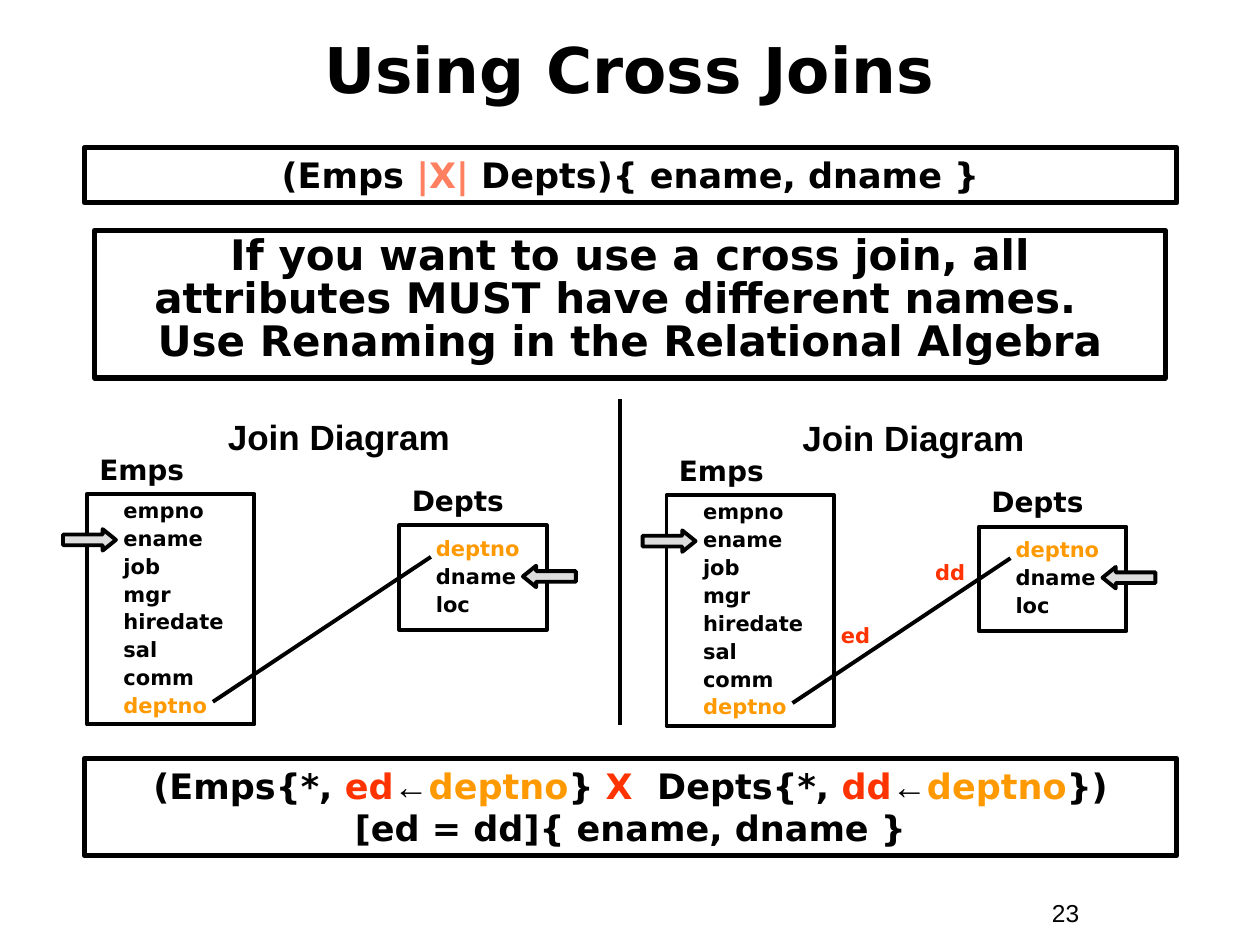
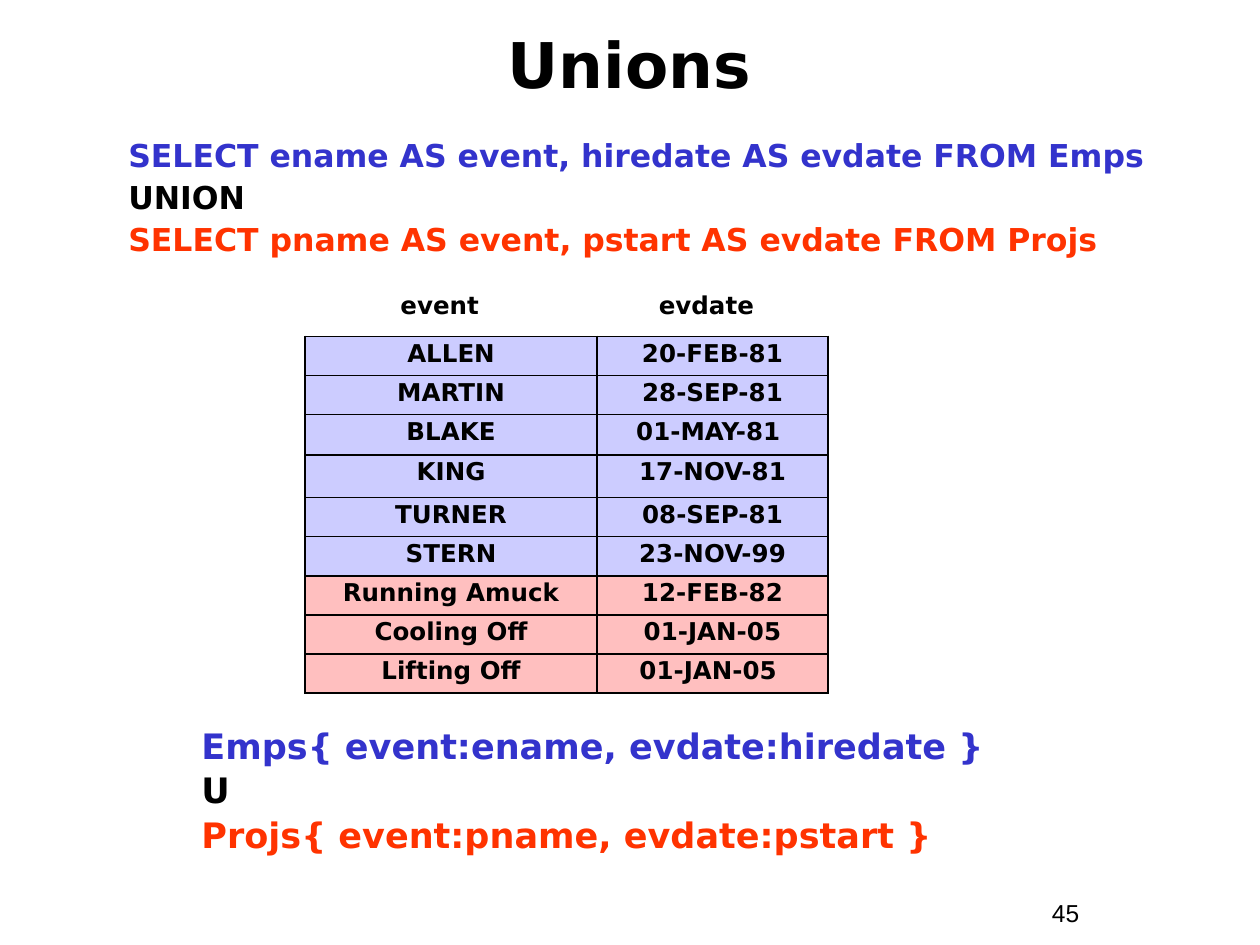
from lxml import etree
from pptx import Presentation
from pptx import util as u
from pptx.dml.color import RGBColor
from pptx.enum import shapes, text
from pptx.oxml import ns

rgb = RGBColor.from_string
BLACK, RED, ORANGE, BLUE = "000000", "FF3300", "FF9900", "3333CC"
SANS, ARIAL = "DejaVu Sans", "Arial"
LEFT, CENTER = text.PP_ALIGN.LEFT, text.PP_ALIGN.CENTER
TOP, MIDDLE = text.MSO_ANCHOR.TOP, text.MSO_ANCHOR.MIDDLE


def write(tf, paras, size, align=LEFT, spacing=1.0, before=0, font=SANS, bold=True, anchor=TOP):
    frame = {"word_wrap": True, "vertical_anchor": anchor,
             "margin_left": u.Inches(0.1), "margin_right": u.Inches(0.1),
             "margin_top": u.Inches(0.05), "margin_bottom": u.Inches(0.05)}
    for key, value in frame.items():
        setattr(tf, key, value)
    for i, runs in enumerate(paras):
        p = tf.add_paragraph() if i else tf.paragraphs[0]
        fmt = {"alignment": align, "line_spacing": spacing,
               "space_before": u.Pt(before if i else 0)}
        for key, value in fmt.items():
            setattr(p, key, value)
        for words, color in runs:
            if words == "\n":
                p.add_line_break()
                continue
            r = p.add_run()
            r.text = words
            fmt = {"name": ARIAL if words == "←" else font, "size": u.Pt(size), "bold": bold}
            for key, value in fmt.items():
                setattr(r.font, key, value)
            r.font.color.rgb = rgb(color)


def draw(s, kind, at, width, fill=None):
    at = [u.Inches(v) for v in at]
    if kind == "line":
        sp = s.shapes.add_connector(shapes.MSO_CONNECTOR.STRAIGHT, *at)
        etree.SubElement(sp._element.spPr, ns.qn("a:effectLst"))
    else:
        sp = s.shapes.add_shape(kind, *at)
        sp.shadow.inherit = False
        if fill:
            sp.fill.solid()
            sp.fill.fore_color.rgb = rgb(fill)
        else:
            sp.fill.background()
    sp.line.color.rgb = rgb(BLACK)
    sp.line.width = u.Pt(width)
    return sp


prs = Presentation()
prs.slide_width, prs.slide_height = u.Inches(10), u.Inches(7.5)
RECT = shapes.MSO_SHAPE.RECTANGLE

slides = []
for title, top, height, number in [("Using Cross Joins", 0.08, 0.92, "23"),
                                   ("Unions", 0.17, 0.67, "45")]:
    s = prs.slides.add_slide(prs.slide_layouts[5])
    sp = s.shapes.title
    place = {"left": 0.33, "top": top, "width": 9.33, "height": height}
    for key, value in place.items():
        setattr(sp, key, u.Inches(value))
    write(sp.text_frame, [[(title, BLACK)]], 36, CENTER, anchor=MIDDLE)
    sp = s.shapes.add_textbox(*map(u.Inches, (8.25, 7.08, 0.92, 0.34)))
    write(sp.text_frame, [[(number, BLACK)]], 14, font=ARIAL, bold=False)
    slides.append(s)
joins, unions = slides

banners = [
    ((0.67, 1.17, 8.67, 0.44), 20, 1.0,
     [("(Emps ", BLACK), ("|X|", "FF7F61"), (" Depts){ ename, dname }", BLACK)]),
    ((0.75, 1.83, 8.5, 1.17), 24, 0.85,
     [("If you want to use a cross join, all attributes MUST have different names.  ", BLACK),
      ("\n", BLACK), ("Use Renaming in the Relational Algebra", BLACK)]),
    ((0.67, 6.02, 8.67, 0.77), 20, 1.0,
     [("(Emps{*, ", BLACK), ("ed", RED), ("←", BLACK), ("deptno", ORANGE), ("} ", BLACK),
      ("X", RED), ("  Depts{*, ", BLACK), ("dd", RED), ("←", BLACK), ("deptno", ORANGE),
      ("})", BLACK), ("\n", BLACK), ("[ed = dd]{ ename, dname }", BLACK)]),
]
for at, size, spacing, runs in banners:
    sp = draw(joins, RECT, at, 3)
    write(sp.text_frame, [runs], size, CENTER, spacing)

draw(joins, "line", (4.92, 3.17, 4.92, 5.75), 2.25)

relations = [
    ("Emps", 0.69, 3.92, 1.33, 1.83,
     ["empno", "ename", "job", "mgr", "hiredate", "sal", "comm", "deptno"]),
    ("Depts", 3.17, 4.17, 1.17, 0.83, ["deptno", "dname", "loc"]),
]
arrows = [(shapes.MSO_SHAPE.RIGHT_ARROW, 0.5, 4.2), (shapes.MSO_SHAPE.LEFT_ARROW, 4.15, 4.49)]
for dx, dy, caption_x in [(0, 0, 1.19), (4.6, 0.01, 5.75)]:
    sp = joins.shapes.add_textbox(*map(u.Inches, (caption_x, 3.25 + dy, 3, 0.44)))
    write(sp.text_frame, [[("Join Diagram", BLACK)]], 20, CENTER, font=ARIAL)
    for name, x, y, w, h, attrs in relations:
        sp = joins.shapes.add_textbox(*map(u.Inches, (x + dx, y + dy - 0.35, 1.36, 0.34)))
        write(sp.text_frame, [[(name, BLACK)]], 16, spacing=0.9)
        sp = draw(joins, RECT, (x + dx, y + dy, w, h), 2.25)
        paras = [[(a, ORANGE if a == "deptno" else BLACK)] for a in attrs]
        write(sp.text_frame, paras, 12, spacing=0.9, before=3, anchor=MIDDLE)
        sp.text_frame.margin_left = u.Inches(0.29)
    draw(joins, "line", (1.69 + dx, 5.57 + dy, 3.42 + dx, 4.42 + dy), 2.25)
    for kind, x, y in arrows:
        sp = draw(joins, kind, (x + dx, y + dy, 0.42, 0.17), 2.25, "DDDDDD")
        sp.adjustments[1] = 0.62

for name, x, y in [("ed", 6.5, 4.92), ("dd", 7.25, 4.42)]:
    sp = joins.shapes.add_textbox(*map(u.Inches, (x, y, 0.58, 0.27)))
    write(sp.text_frame, [[(name, RED)]], 12, CENTER, 0.85)

queries = [
    ((0.92, 1.08, 8.5, 1.02), 18, 5.6,
     ["SELECT ename AS event, hiredate AS evdate FROM Emps", "UNION",
      "SELECT pname AS event, pstart AS evdate FROM Projs"]),
    ((1.5, 5.75, 6.58, 1.09), 20, 5,
     ["Emps{ event:ename, evdate:hiredate }", "U", "Projs{ event:pname, evdate:pstart }"]),
]
for at, size, before, lines in queries:
    sp = unions.shapes.add_textbox(*map(u.Inches, at))
    paras = [[pair] for pair in zip(lines, (BLUE, BLACK, RED))]
    write(sp.text_frame, paras, size, spacing=0.85, before=before)

sp = unions.shapes.add_textbox(*map(u.Inches, (3.08, 2.25, 3.25, 0.34)))
p = sp.text_frame.paragraphs[0]
tabs = etree.SubElement(p._p.get_or_add_pPr(), ns.qn("a:tabLst"))
etree.SubElement(tabs, ns.qn("a:tab"), pos=str(u.Inches(2.05)), algn="l")
write(sp.text_frame, [[("event\tevdate", BLACK)]], 14)

events = [("ALLEN", "20-FEB-81"), ("MARTIN", "28-SEP-81"), ("BLAKE", "01-MAY-81 "),
          ("KING", "17-NOV-81"), ("TURNER", "08-SEP-81"), ("STERN", "23-NOV-99"),
          ("Running Amuck", "12-FEB-82"), ("Cooling Off", "01-JAN-05"),
          ("Lifting Off", "01-JAN-05 ")]
heights = [0.31, 0.31, 0.32, 0.34] + [0.31] * 5
emp_count = 6
at = map(u.Inches, (2.42, 2.67, 4.15, sum(heights)))
table = unions.shapes.add_table(len(events), 2, *at).table
table.first_row = table.horz_banding = False
for col, width in zip(table.columns, (2.32, 1.83)):
    col.width = u.Inches(width)
for i, (event, height) in enumerate(zip(events, heights)):
    table.rows[i].height = u.Inches(height)
    for j, words in enumerate(event):
        cell = table.cell(i, j)
        write(cell.text_frame, [[(words, BLACK)]], 14, CENTER, 0.85)
        tcPr = cell._tc.get_or_add_tcPr()
        for side in ("lnL", "lnR", "lnT", "lnB"):
            ln = etree.SubElement(tcPr, ns.qn("a:" + side), w=str(u.Pt(1.08)))
            fill = etree.SubElement(ln, ns.qn("a:solidFill"))
            etree.SubElement(fill, ns.qn("a:srgbClr"), val=BLACK)
        cell.fill.solid()
        cell.fill.fore_color.rgb = rgb("CCCCFF" if i < emp_count else "FFBFBF")

prs.save("out.pptx")
